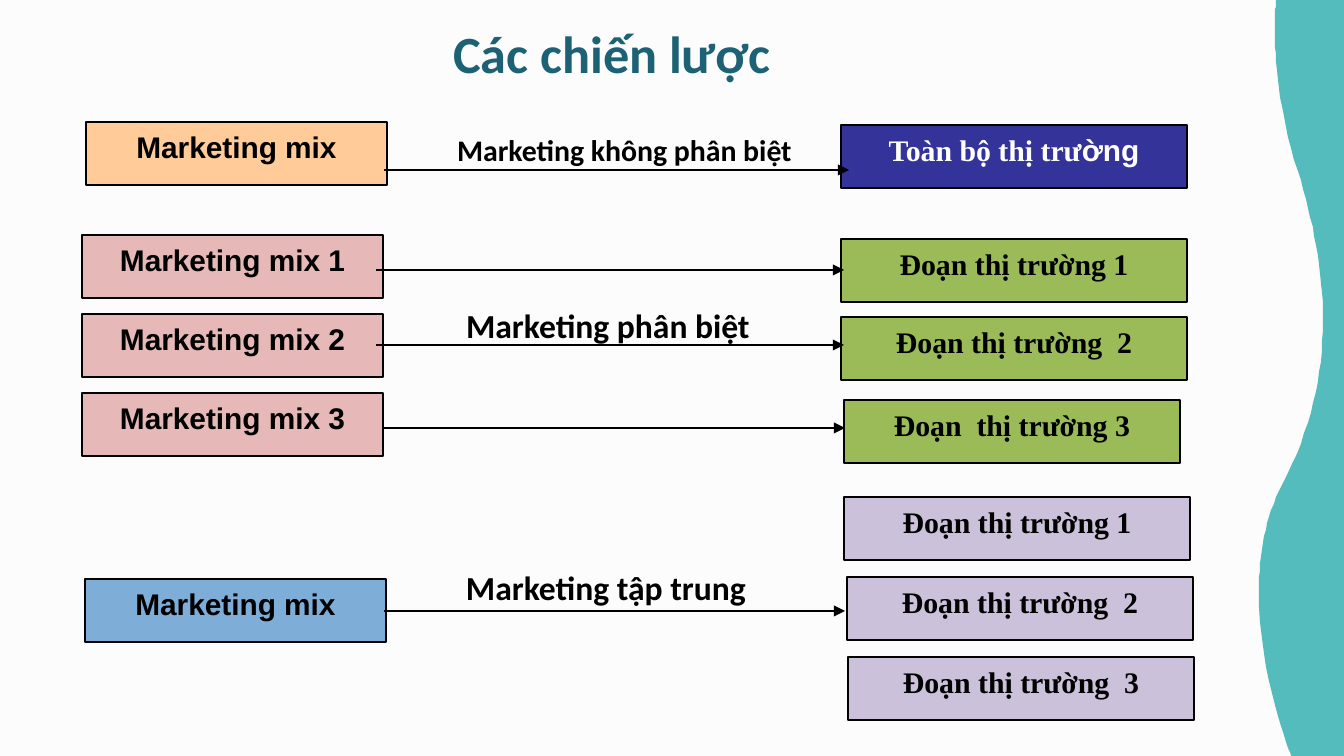
from lxml import etree
from pptx import Presentation, util as u
from pptx.dml.color import RGBColor
from pptx.enum import shapes, text
from pptx.oxml.ns import qn

PX = 914400 / 134.4
COLORS = {
    "paper": "FCFCFC", "wave": "55BCBD", "title": "1C6274", "ink": "000000",
    "white": "FFFFFF", "peach": "FFCC99", "pink": "E6B9B8", "blue": "7EADD8",
    "navy": "333399", "green": "9BBB59", "lilac": "CCC1DA",
}
RGB = {name: RGBColor.from_string(value) for name, value in COLORS.items()}


def emu(*lengths):
    return [u.Emu(round(length * PX)) for length in lengths]


def write(holder, runs, size, color="ink", inset=None):
    frame = holder.text_frame
    layout = {"word_wrap": True, "auto_size": text.MSO_AUTO_SIZE.NONE,
              "vertical_anchor": text.MSO_ANCHOR.TOP}
    if inset:
        for side in ("left", "top", "right", "bottom"):
            layout["margin_" + side] = emu(inset)[0]
    for key, value in layout.items():
        setattr(frame, key, value)
    paragraph = frame.paragraphs[0]
    paragraph.alignment = text.PP_ALIGN.CENTER
    for words, face in runs:
        run = paragraph.add_run()
        run.text = words
        for key, value in {"name": face, "size": u.Pt(size), "bold": True}.items():
            setattr(run.font, key, value)
        run.font.color.rgb = RGB[color]


deck = Presentation()
deck.slide_width, deck.slide_height = emu(1344, 756)
slide = deck.slides.add_slide(deck.slide_layouts[5])
slide.background.fill.solid()
slide.background.fill.fore_color.rgb = RGB["paper"]

wave_start = (1276, 0)
wave_curves = [
    ((1276, 0), (1275, 9), (1275, 28)),
    ((1275, 58), (1278, 109), (1298, 171)),
    ((1313, 220), (1323, 270), (1323, 321)),
    ((1323, 375), (1311, 430), (1282, 485)),
    ((1265, 517), (1259, 555), (1259, 591)),
    ((1259, 676), (1291, 756), (1291, 756)),
]
edge = [wave_start]
steps = 16
for first, second, end in wave_curves:
    start = edge[-1]
    for step in range(1, steps + 1):
        t = step / steps
        edge.append(tuple(
            (1 - t) ** 3 * a + 3 * t * (1 - t) ** 2 * b + 3 * t ** 2 * (1 - t) * c + t ** 3 * d
            for a, b, c, d in zip(start, first, second, end)))
outline = slide.shapes.build_freeform(1344, 0, scale=PX)
outline.add_line_segments(edge + [(1344, 756)], close=True)
wave = outline.convert_to_shape()
wave.shadow.inherit = False
wave.fill.solid()
wave.fill.fore_color.rgb = RGB["wave"]
wave.line.fill.background()

heading = slide.shapes.title
for key, value in zip(("left", "top", "width", "height"), emu(220, 8, 784, 90)):
    setattr(heading, key, value)
write(heading, [("Các chiến lược", "Calibri")], 28, "title", inset=13)

MIX, SEGMENT = "Arial", "Times New Roman"
boxes = [
    (86, 122, 301, "peach", "ink", [("Marketing mix", MIX)]),
    (82, 235, 301, "pink", "ink", [("Marketing mix 1", MIX)]),
    (82, 314, 301, "pink", "ink", [("Marketing mix 2", MIX)]),
    (82, 393, 301, "pink", "ink", [("Marketing mix 3", MIX)]),
    (85, 579, 301, "blue", "ink", [("Marketing mix", MIX)]),
    (841, 125, 346, "navy", "white", [("Toàn bộ thị trư", SEGMENT), ("ờng", MIX)]),
    (841, 239, 346, "green", "ink", [("Đoạn thị trường 1", SEGMENT)]),
    (841, 317, 346, "green", "ink", [("Đoạn thị trường  2", SEGMENT)]),
    (844, 400, 336, "green", "ink", [("Đoạn  thị trường 3", SEGMENT)]),
    (844, 497, 346, "lilac", "ink", [("Đoạn thị trường 1", SEGMENT)]),
    (847, 577, 346, "lilac", "ink", [("Đoạn thị trường  2", SEGMENT)]),
    (848, 657, 346, "lilac", "ink", [("Đoạn thị trường  3", SEGMENT)]),
]
for left, top, width, fill, ink, runs in boxes:
    box = slide.shapes.add_shape(shapes.MSO_SHAPE.RECTANGLE, *emu(left, top, width, 63))
    box.shadow.inherit = False
    box.fill.solid()
    box.fill.fore_color.rgb = RGB[fill]
    box.line.color.rgb = RGB["ink"]
    box.line.width = u.Pt(1.5)
    write(box, runs, 16, ink)

arrows = [(384, 849, 170), (376, 844, 270), (376, 844, 345), (383, 845, 428), (384, 845, 611)]
for start, end, level in arrows:
    arrow = slide.shapes.add_connector(
        shapes.MSO_CONNECTOR.STRAIGHT, *emu(start, level, end, level))
    arrow.line.color.rgb = RGB["ink"]
    arrow.line.width = u.Pt(0.75)
    etree.SubElement(arrow.line._get_or_add_ln(), qn("a:tailEnd"), type="triangle")
    etree.SubElement(arrow._element.spPr, qn("a:effectLst"))

strategies = [
    (427, 125, 395, 79, 16, "Marketing không phân biệt"),
    (416, 298, 384, 39, 18, "Marketing phân biệt"),
    (419, 560, 374, 39, 18, "Marketing tập trung"),
]
for left, top, width, height, size, words in strategies:
    strategy = slide.shapes.add_textbox(*emu(left, top, width, height))
    write(strategy, [(words, "Calibri")], size)

deck.save("out.pptx")
